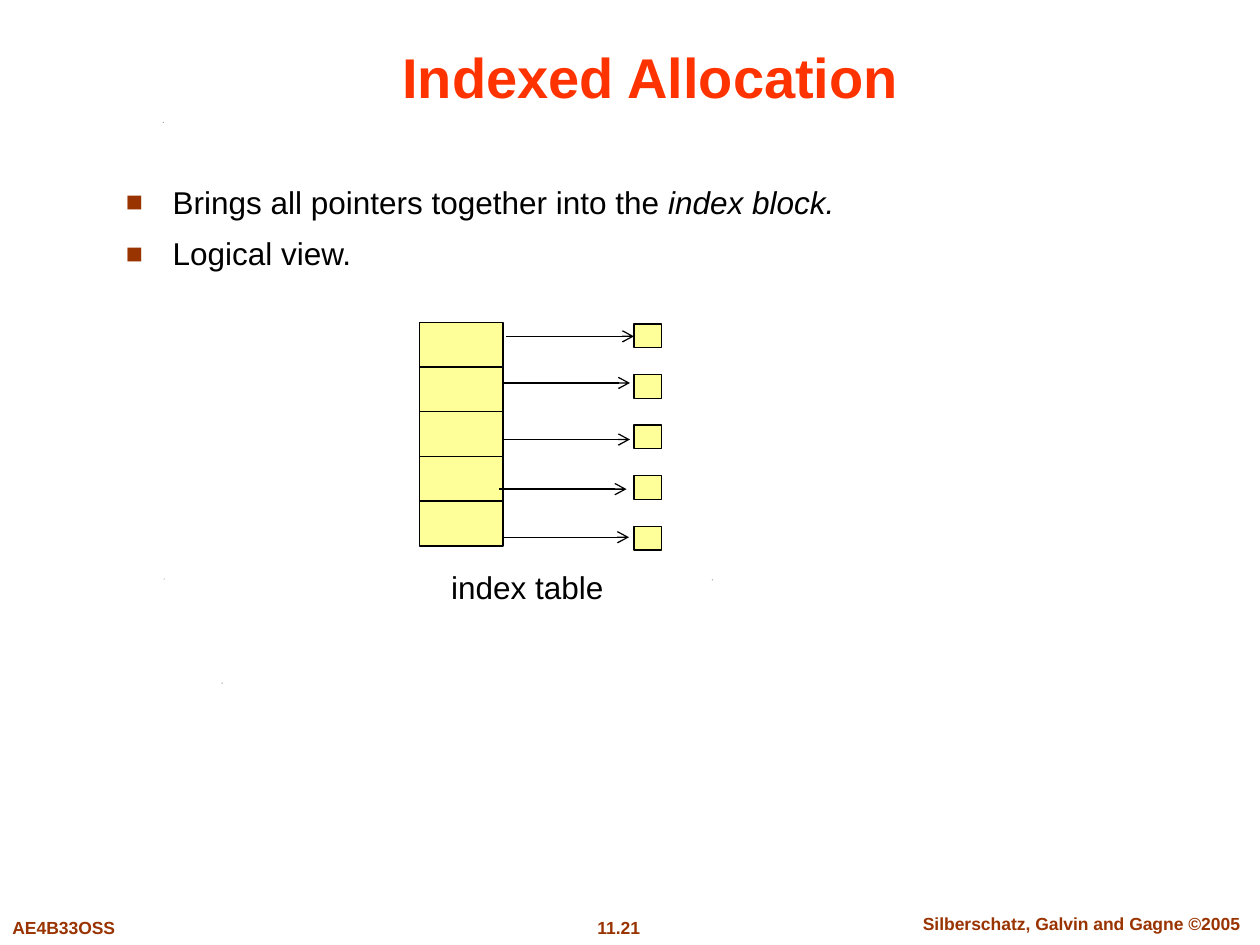
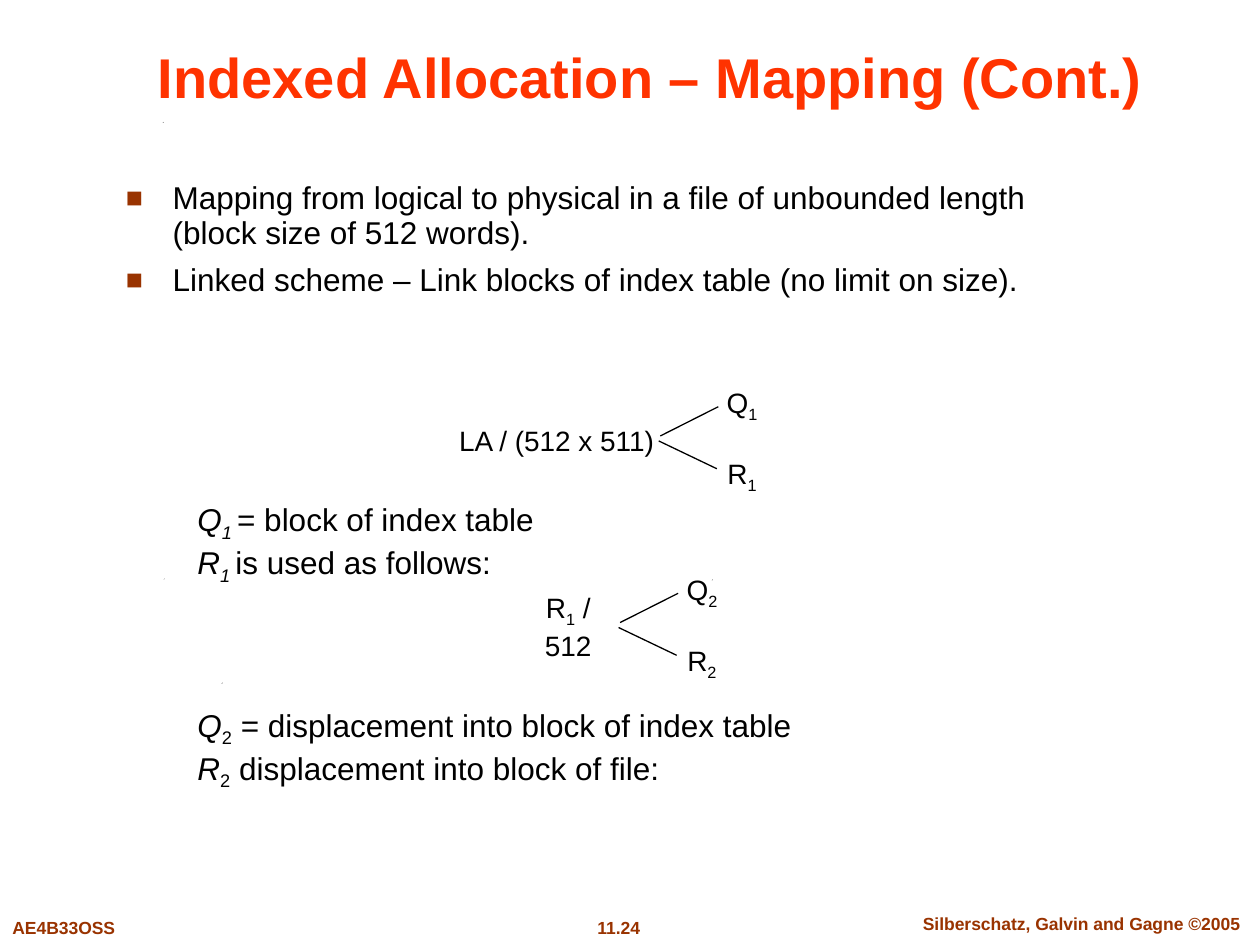
"""Builds two slides on indexed file allocation."""
from lxml import etree
from pptx import Presentation
from pptx.dml.color import RGBColor
from pptx.enum import shapes, text
from pptx.oxml import ns
from pptx.util import Cm, Pt

BLACK = RGBColor(0x00, 0x00, 0x00)
TITLE_RED = RGBColor(0xFF, 0x33, 0x00)
RUST = RGBColor(0x99, 0x33, 0x00)
YELLOW = RGBColor(0xFF, 0xFF, 0x99)
FONT = "Arial"
LEFT, CENTER = text.PP_ALIGN.LEFT, text.PP_ALIGN.CENTER
TOP, MIDDLE, BOTTOM = text.MSO_ANCHOR.TOP, text.MSO_ANCHOR.MIDDLE, text.MSO_ANCHOR.BOTTOM
TITLE_STYLE = {"size": 32, "color": TITLE_RED, "bold": True, "align": CENTER, "anchor": BOTTOM}
FOOTER_STYLE = {"size": 10, "color": RUST, "bold": True}
LABEL_STYLE = {"size": 16, "align": CENTER, "anchor": MIDDLE, "wrap": False}


def add_text(slide, box, paragraphs, size=18, color=BLACK, bold=False, align=LEFT,
             anchor=TOP, wrap=True, bullet=False, line_spacing=None):
    """Add a text box; each paragraph is a string or a list of (text, style) runs."""
    text_frame = slide.shapes.add_textbox(*map(Cm, box)).text_frame
    text_frame.word_wrap = wrap
    text_frame.vertical_anchor = anchor
    for index, content in enumerate(paragraphs):
        paragraph = text_frame.add_paragraph() if index else text_frame.paragraphs[0]
        if bullet:
            properties = paragraph._p.get_or_add_pPr()
            properties.set("marL", str(Cm(0.94)))
            properties.set("indent", str(-Cm(0.94)))
            bullet_color = etree.SubElement(properties, ns.qn("a:buClr"))
            etree.SubElement(bullet_color, ns.qn("a:srgbClr"), val=str(RUST))
            etree.SubElement(properties, ns.qn("a:buSzPct"), val="90000")
            etree.SubElement(properties, ns.qn("a:buFont"), typeface=FONT)
            etree.SubElement(properties, ns.qn("a:buChar"), char="■")
            if index:
                paragraph.space_before = Pt(7.9)
        paragraph.alignment = align
        paragraph.line_spacing = line_spacing
        for words, style in [(content, "")] if isinstance(content, str) else content:
            run = paragraph.add_run()
            run.text = words
            run.font.name, run.font.size, run.font.bold = FONT, Pt(size), bold
            run.font.color.rgb = color
            run.font.italic = "italic" in style
            if "sub" in style:
                run._r.get_or_add_rPr().set("baseline", "-25000")


def add_line(slide, start_x, start_y, end_x, end_y, arrow=False):
    """Add a thin black line, with an arrowhead at its end if wanted."""
    line = slide.shapes.add_connector(
        shapes.MSO_CONNECTOR.STRAIGHT, Cm(start_x), Cm(start_y), Cm(end_x), Cm(end_y))
    line.line.color.rgb = BLACK
    line.line.width = Pt(0.75)
    if arrow:
        etree.SubElement(line.line._get_or_add_ln(), ns.qn("a:tailEnd"), type="arrow")
    etree.SubElement(line._element.spPr, ns.qn("a:effectLst"))


presentation = Presentation()
presentation.slide_width, presentation.slide_height = Cm(25.4), Cm(19.05)

slides = []
for title, number in [("Indexed Allocation", "11.21"),
                      ("Indexed Allocation – Mapping (Cont.)", "11.24")]:
    slide = presentation.slides.add_slide(presentation.slide_layouts[6])
    slides.append(slide)
    for x, y in [(4.47, 13.78), (3.3, 11.68), (14.35, 11.7), (3.28, 2.48)]:
        builder = slide.shapes.build_freeform(Cm(x), Cm(y))
        builder.add_line_segments([(Cm(x + 0.02), Cm(y - 0.02)), (Cm(x + 0.01), Cm(y))])
        speck = builder.convert_to_shape()
        speck.shadow.inherit = False
        speck.fill.solid()
        speck.fill.fore_color.rgb = BLACK
        speck.line.fill.background()
    add_text(slide, (11.13, 18.36, 2.69, 0.69), [number], align=CENTER, **FOOTER_STYLE)
    add_text(slide, (18.03, 18.29, 7.54, 0.69), ["Silberschatz, Galvin and Gagne ©2005"],
             align=CENTER, **FOOTER_STYLE)
    add_text(slide, (0, 18.36, 2.8, 0.69), ["AE4B33OSS"], **FOOTER_STYLE)
    add_text(slide, (1.9, 0.64, 22.43, 1.7), [title], **TITLE_STYLE)
allocation_slide, mapping_slide = slides

add_text(allocation_slide, (2.29, 3.56, 21.84, 2.59),
         [[("Brings all pointers together into the ", ""), ("index block.", "italic")],
          "Logical view."], bullet=True)
for left, top, width, height, pitch in [(8.46, 6.5, 1.68, 0.91, 0.9),
                                        (12.78, 6.53, 0.56, 0.48, 1.02)]:
    for row in range(5):
        block = allocation_slide.shapes.add_shape(
            shapes.MSO_SHAPE.RECTANGLE, Cm(left), Cm(top + row * pitch), Cm(width), Cm(height))
        block.shadow.inherit = False
        block.fill.solid()
        block.fill.fore_color.rgb = YELLOW
        block.line.color.rgb = BLACK
        block.line.width = Pt(0.75)
for x, y in [(10.21, 6.78), (10.13, 7.72), (10.13, 8.86), (10.06, 9.86), (10.11, 10.83)]:
    add_line(allocation_slide, x, y, x + 2.57, y, arrow=True)
add_text(allocation_slide, (8.84, 11.33, 3.58, 1.02), ["index table"],
         align=CENTER, anchor=MIDDLE, wrap=False)

add_text(mapping_slide, (2.29, 3.56, 19.56, 3.25),
         ["Mapping from logical to physical in a file of unbounded length "
          "(block size of 512 words).",
          "Linked scheme – Link blocks of index table (no limit on size)."],
         bullet=True, line_spacing=0.9)
divisions = [
    (13.28, 8.79, 8.97, 4.5, "1", [("LA / (512 x 511)", "")]),
    (12.47, 12.55, 10.21, 2.49, "2", [("R", ""), ("1", "sub"), (" / 512", "")]),
]
for fork_x, fork_y, left, width, level, dividend in divisions:
    add_text(mapping_slide, (left, fork_y - 0.42, width, 1), [dividend], **LABEL_STYLE)
    for letter, offset in [("Q", -1.15), ("R", 0.28)]:
        add_text(mapping_slide, (fork_x + 1.12, fork_y + offset, 1.12, 1.04),
                 [[(letter, ""), (level, "sub")]], **LABEL_STYLE)
    add_line(mapping_slide, fork_x + 0.03, fork_y, fork_x + 1.2, fork_y - 0.59)
    add_line(mapping_slide, fork_x, fork_y + 0.1, fork_x + 1.17, fork_y + 0.66)

explanations = [
    (9.96, "1 ", "italic sub", "= block of index table", "is used as follows:"),
    (14.1, "2", "sub", " = displacement into block of index table",
     " displacement into block of file:"),
]
for top, level, level_style, quotient, remainder in explanations:
    add_text(mapping_slide, (3.73, top, 18.57, 2.06),
             [[(letter, "italic"), (level, level_style), (meaning, "")]
              for letter, meaning in [("Q", quotient), ("R", remainder)]])

presentation.save("out.pptx")
